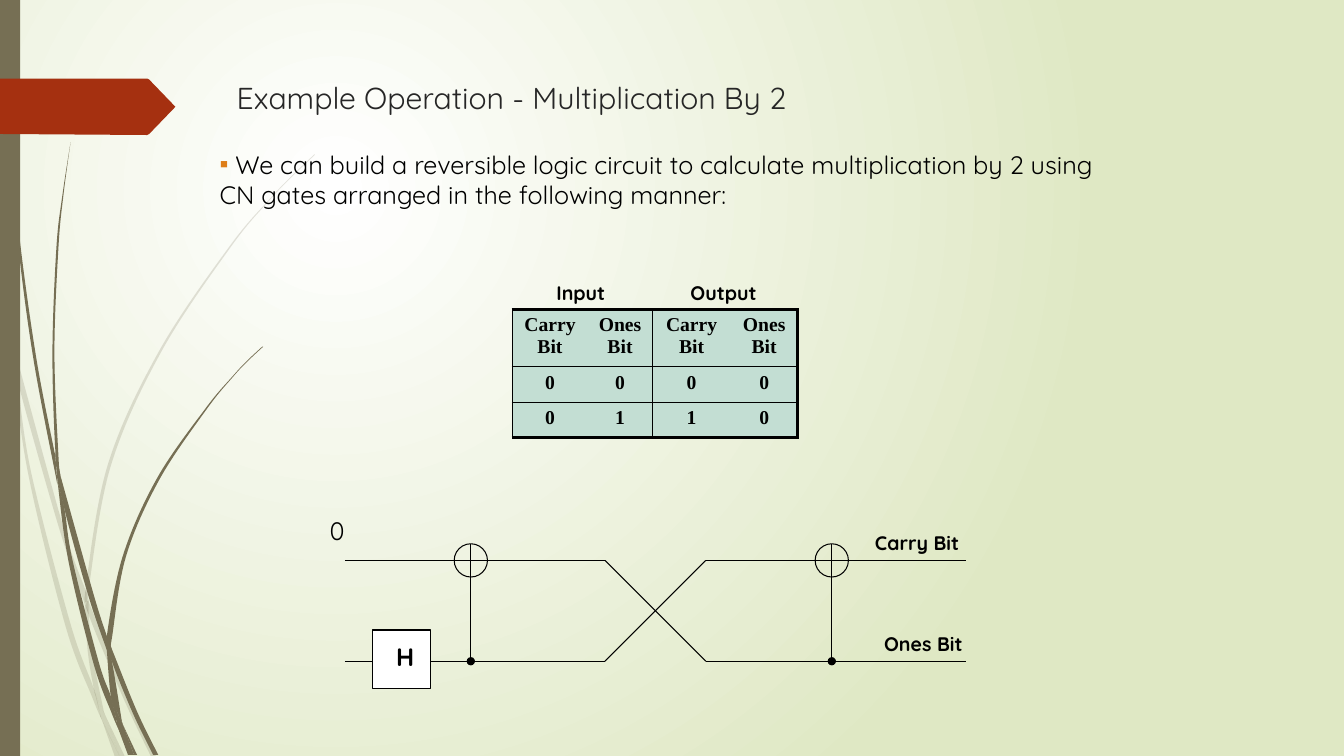
from lxml import etree
from pptx import Presentation
from pptx.dml.color import RGBColor
from pptx.enum import shapes, text
from pptx.oxml.ns import qn
from pptx.util import Inches, Pt

THEME = {
    "sans": "Quicksand", "serif": "Times New Roman",
    "title": 21.6, "title_end": 32.4, "body": 18, "label": 14,
    "ink": "000000", "title_ink": "262626", "bullet": "DE7E18", "box": "FFFFFF", "stem": "766F54",
    "tag": "A53010", "cell": "C3DED3", "glow": "FFFFFF", "edge": "DFE8C4",
    "thin": 0.75, "rule": 1, "heavy": 2.25, "faint_alpha": 20,
}

# Content: labels are (text, box, size, bold, centred)
TITLE = "Example Operation - Multiplication By 2"
BODY = (" We can build a reversible logic circuit to calculate multiplication by 2 using "
        "CN gates arranged in the following manner:")
LABELS = [
    ("Input", (5.42, 2.74, 0.73, 0.33), "label", True, False),
    ("Output", (6.75, 2.74, 0.92, 0.33), "label", True, False),
    ("Carry Bit", (8.58, 5.22, 1.17, 0.33), "label", True, False),
    ("Ones Bit", (8.67, 6.22, 1.08, 0.33), "label", True, False),
    ("0", (3.17, 5.06, 0.33, 0.4), "body", False, False),
    ("H", (3.83, 6.31, 0.33, 0.4), "body", True, True),
]
TRUTH_ROWS = [["Carry Bit", "Ones Bit"] * 2, ["0", "0", "0", "0"], ["0", "1", "1", "0"]]
COLUMN_WIDTHS = [0.75, 0.64, 0.78, 0.66]
ROW_HEIGHTS = [0.57, 0.35, 0.35]

# Circuit: two wire levels, gate centres, and wire spans on each level
CARRY_Y, ONES_Y = 5.56, 6.56
GATE_CENTRES, GATE_SIZE = [4.67, 8.25], 0.33
CARRY_SPANS = [(3.42, 4.5), (4.67, 6), (7, 8.25), (8.42, 9.58)]
ONES_SPANS = [(3.42, 6), (7, 9.58)]
CROSSING = (6, 7)

# Grass: every blade is one edge out and one edge back, in inches
FAINT_BLADES = [
    ([(0.11, 3.5), (0.09, 3.22), (0, 2.82)], [(0, 2.99), (0.1, 3.44), (0.11, 3.5)]),
    ([(0.14, 3.45), (0.62, 5.2), (0.85, 5.86)], [(0.84, 5.99), (0.58, 5.22), (0.17, 3.76), (0.14, 3.45)]),
    ([(0.88, 5.96), (0.92, 6.07), (1.27, 6.92), (1.55, 7.51)],
     [(1.5, 7.51), (1.23, 6.94), (0.88, 6.1), (0.88, 5.96)]),
    ([(1.05, 7.11), (1.24, 7.51)], [(1.19, 7.51), (1.05, 7.11)]),
    ([(0.11, 3.5), (0.28, 4.7), (0.65, 6.21), (0.92, 6.93), (1.01, 7.14)],
     [(0.99, 7.07), (0.93, 6.83), (0.7, 6.19), (0.31, 4.69), (0.17, 3.76), (0.11, 3.5)]),
    ([(0.84, 5.99), (0.87, 6.46), (0.93, 6.83), (0.96, 6.92), (1.05, 7.11)],
     [(1.03, 7.06), (0.91, 6.46), (0.88, 6.1), (0.84, 5.99)]),
    ([(0.88, 5.96), (0.88, 5.84), (1.1, 4.62), (1.6, 3.49), (2.29, 2.45), (2.68, 1.98), (2.9, 1.75), (3.12, 1.54)],
     [(3.12, 1.53), (2.89, 1.75), (2.68, 1.97), (2.28, 2.44), (1.58, 3.48), (1.07, 4.61), (0.85, 5.84), (0.88, 5.96)]),
    ([(1.01, 7.14), (1.14, 7.51)], [(1.19, 7.51), (1.01, 7.14)]),
    ([(0.88, 5.96), (0.88, 6.1)], [(0.84, 5.99), (0.85, 5.86), (0.88, 5.96)]),
    ([(0.93, 6.83), (0.99, 7.07), (1.01, 7.14), (1.19, 7.51)], [(1.05, 7.11), (0.96, 6.92), (0.93, 6.83)]),
]
DARK_BLADES = [
    ([(0.03, 0), (0.04, 0.48), (0.07, 1.1), (0.17, 2.33), (0.33, 3.55), (0.57, 4.81)],
     [(0.55, 4.53), (0.36, 3.55), (0.19, 2.32), (0.08, 1.09), (0.05, 0.48), (0.04, 0)]),
    ([(0.6, 4.72), (0.93, 5.9), (1.06, 6.31)], [(1.06, 6.45), (0.88, 5.92), (0.64, 5.05), (0.6, 4.72)]),
    ([(1.1, 6.41), (1.13, 6.49), (1.36, 7.06), (1.57, 7.49)],
     [(1.52, 7.49), (1.32, 7.08), (1.11, 6.56), (1.1, 6.41)]),
    ([(0.57, 4.77), (0.68, 5.57), (0.93, 6.59), (1.11, 7.08), (1.17, 7.22)],
     [(1.16, 7.17), (1.1, 6.91), (0.98, 6.57), (0.72, 5.56), (0.64, 5.05), (0.57, 4.77)]),
    ([(0.6, 4.72), (0.58, 4.53), (0.54, 3.49), (0.58, 2.45), (0.63, 1.93), (0.7, 1.41)],
     [(0.7, 1.41), (0.62, 1.93), (0.56, 2.45), (0.52, 3.49), (0.55, 4.49), (0.6, 4.72)]),
    ([(1.22, 7.19), (1.36, 7.49)], [(1.33, 7.49), (1.22, 7.19)]),
    ([(0.55, 4.49), (0.6, 4.72), (0.64, 5.05)], [(0.57, 4.77), (0.55, 4.53), (0.55, 4.49)]),
    ([(1.1, 6.41), (1.11, 6.33), (1.25, 5.52), (1.58, 4.76), (2.05, 4.06), (2.31, 3.74), (2.45, 3.59), (2.61, 3.44)],
     [(2.6, 3.44), (2.45, 3.58), (2.31, 3.73), (2.04, 4.05), (1.56, 4.74), (1.22, 5.51), (1.06, 6.31), (1.1, 6.41)]),
    ([(1.17, 7.22), (1.27, 7.49)], [(1.31, 7.49), (1.17, 7.22)]),
    ([(1.06, 6.45), (1.1, 6.91), (1.16, 7.06), (1.22, 7.19)], [(1.21, 7.16), (1.11, 6.56), (1.06, 6.45)]),
    ([(1.06, 6.31), (1.1, 6.41), (1.11, 6.56)], [(1.06, 6.45), (1.06, 6.31)]),
    ([(1.1, 6.91), (1.16, 7.17), (1.17, 7.22), (1.3, 7.49)],
     [(1.33, 7.49), (1.22, 7.19), (1.16, 7.06), (1.1, 6.91)]),
]
TAG = [(0, 0.78), (1.46, 0.78), (1.48, 0.79), (1.74, 1.06), (1.48, 1.33), (1.46, 1.34), (0, 1.33)]


def color(name):
    return RGBColor.from_string(THEME[name])


def child(parent, tag, **attributes):
    return etree.SubElement(parent, qn(tag), attributes)


def paint(shape, fill=None, line=None):
    shape.shadow.inherit = False
    shape.fill.background()
    shape.line.fill.background()
    if fill:
        shape.fill.solid()
        shape.fill.fore_color.rgb = color(fill)
    if line:
        shape.line.color.rgb, shape.line.width = color(line), Pt(THEME["thin"])
    return shape


def add_outline(slide, points, fill):
    corners = [(Inches(x), Inches(y)) for x, y in points]
    builder = slide.shapes.build_freeform(*corners[0], scale=1.0)
    builder.add_line_segments(corners[1:], close=True)
    return paint(builder.convert_to_shape(), fill)


def add_blade(slide, out, back, alpha):
    blade = add_outline(slide, out + back, "stem")
    steps = [point.getparent() for point in blade._element.iter(qn("a:pt"))]
    spots = [(int(step[0].get("x")), int(step[0].get("y"))) for step in steps]
    # Bend each straight step into a curve; the tip between the edges stays sharp
    for first, last in ((0, len(out) - 1), (len(out), len(out + back) - 1)):
        for i in range(first + 1, last + 1):
            a, b, c, d = (spots[min(max(k, first), last)] for k in range(i - 2, i + 2))
            controls = [[q + (r - p) / 6 for p, q, r in zip(a, b, c)],
                        [r - (s - q) / 6 for q, r, s in zip(b, c, d)], c]
            curve = etree.Element(qn("a:cubicBezTo"))
            for x, y in controls:
                child(curve, "a:pt", x=str(round(x)), y=str(round(y)))
            steps[i].getparent().replace(steps[i], curve)
    if alpha:
        child(blade._element.spPr.find(qn("a:solidFill"))[0], "a:alpha", val=str(alpha * 1000))


def add_preset(slide, kind, box, fill=None, line=None):
    paint(slide.shapes.add_shape(kind, *map(Inches, box)), fill, line)


def add_wire(slide, x1, y1, x2, y2, dot=False):
    wire = slide.shapes.add_connector(shapes.MSO_CONNECTOR.STRAIGHT, *map(Inches, (x1, y1, x2, y2)))
    wire.line.color.rgb, wire.line.width = color("ink"), Pt(THEME["thin"])
    if dot:
        child(wire._element.spPr.find(qn("a:ln")), "a:tailEnd", type="oval")
    child(wire._element.spPr, "a:effectLst")


def add_run(paragraph, words, size, bold=False, font="sans", ink="ink"):
    run = paragraph.add_run()
    run.text = words
    run.font.name, run.font.size = THEME[font], Pt(THEME[size])
    run.font.bold, run.font.color.rgb = bold, color(ink)


def add_text_box(slide, box):
    frame = slide.shapes.add_textbox(*map(Inches, box)).text_frame
    frame.word_wrap = True
    return frame.paragraphs[0]


def add_truth_table(slide):
    last_row, last_column = len(TRUTH_ROWS) - 1, len(COLUMN_WIDTHS) - 1
    box = (5.08, 3.07, sum(COLUMN_WIDTHS), sum(ROW_HEIGHTS))
    table = slide.shapes.add_table(last_row + 1, last_column + 1, *map(Inches, box)).table
    for column, width in zip(table.columns, COLUMN_WIDTHS):
        column.width = Inches(width)
    for r, (row, height) in enumerate(zip(TRUTH_ROWS, ROW_HEIGHTS)):
        table.rows[r].height = Inches(height)
        for c, words in enumerate(row):
            cell = table.cell(r, c)
            paragraph = cell.text_frame.paragraphs[0]
            paragraph.alignment = text.PP_ALIGN.CENTER
            add_run(paragraph, words, "label", True, "serif")
            # Each input and output pair is framed; no rule inside a pair
            borders = {"a:lnL": None if c % 2 else "rule",
                       "a:lnR": "heavy" if c == last_column else "rule" if c % 2 else None,
                       "a:lnT": "rule" if r else "heavy",
                       "a:lnB": "heavy" if r == last_row else "rule"}
            for tag, weight in borders.items():
                border = child(cell._tc.get_or_add_tcPr(), tag)
                paint_element = child(border, "a:solidFill" if weight else "a:noFill")
                if weight:
                    border.set("w", str(Pt(THEME[weight])))
                    child(paint_element, "a:srgbClr", val=THEME["ink"])
            cell.fill.solid()
            cell.fill.fore_color.rgb = color("cell")


presentation = Presentation()
presentation.slide_width, presentation.slide_height = Inches(13.33), Inches(7.5)
slide = presentation.slides.add_slide(presentation.slide_layouts[6])

# Background glow
slide.background.fill.gradient()
for stop, name in zip(slide.background.fill.gradient_stops, ("glow", "edge")):
    stop.color.rgb = color(name)
gradient = slide._element.find(".//" + qn("a:gradFill"))
gradient.remove(gradient.find(qn("a:lin")))
child(child(gradient, "a:path", path="circle"), "a:fillToRect", l="50000", t="50000", r="100000", b="100000")

# Grass, side bar and tag
for blades, alpha in ((FAINT_BLADES, THEME["faint_alpha"]), (DARK_BLADES, None)):
    for out, back in blades:
        add_blade(slide, out, back, alpha)
add_preset(slide, shapes.MSO_SHAPE.RECTANGLE, (0, 0, 0.2, 7.5), "stem")
add_outline(slide, TAG, "tag")

# Title, body and table
title = add_text_box(slide, (2.25, 0.59, 9, 0.42))
add_run(title, TITLE, "title", ink="title_ink")
add_run(title, " ", "title_end", ink="title_ink")
body = add_text_box(slide, (2.08, 1.43, 9.17, 0.71))
properties = body._p.get_or_add_pPr()
child(child(properties, "a:buClr"), "a:srgbClr", val=THEME["bullet"])
child(properties, "a:buFont", typeface=THEME["serif"])
child(properties, "a:buChar", char="▪")
add_run(body, BODY, "body")
add_truth_table(slide)

# Circuit
for level, spans in ((CARRY_Y, CARRY_SPANS), (ONES_Y, ONES_SPANS)):
    for start, end in spans:
        add_wire(slide, start, level, end, level)
add_wire(slide, CROSSING[0], CARRY_Y, CROSSING[1], ONES_Y)
add_wire(slide, CROSSING[0], ONES_Y, CROSSING[1], CARRY_Y)
radius = GATE_SIZE / 2
for centre in GATE_CENTRES:
    gate_box = (centre - radius, CARRY_Y - radius, GATE_SIZE, GATE_SIZE)
    add_preset(slide, shapes.MSO_SHAPE.FLOWCHART_OR, gate_box, line="ink")
    add_wire(slide, centre, CARRY_Y + radius, centre, ONES_Y, dot=True)
add_preset(slide, shapes.MSO_SHAPE.RECTANGLE, (3.69, 6.25, 0.58, 0.58), "box", "ink")

# Labels
for words, box, size, bold, centred in LABELS:
    label = add_text_box(slide, box)
    label.alignment = text.PP_ALIGN.CENTER if centred else None
    add_run(label, words, size, bold)

presentation.save("out.pptx")
